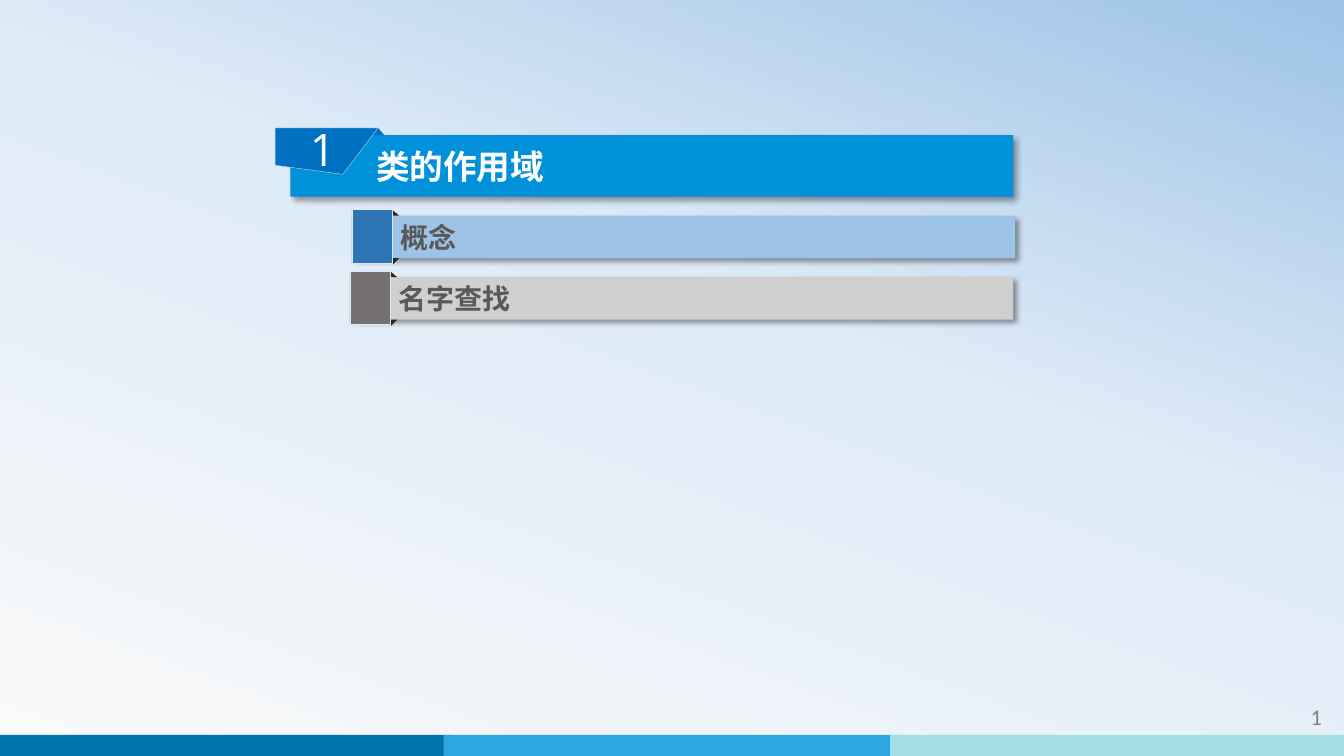
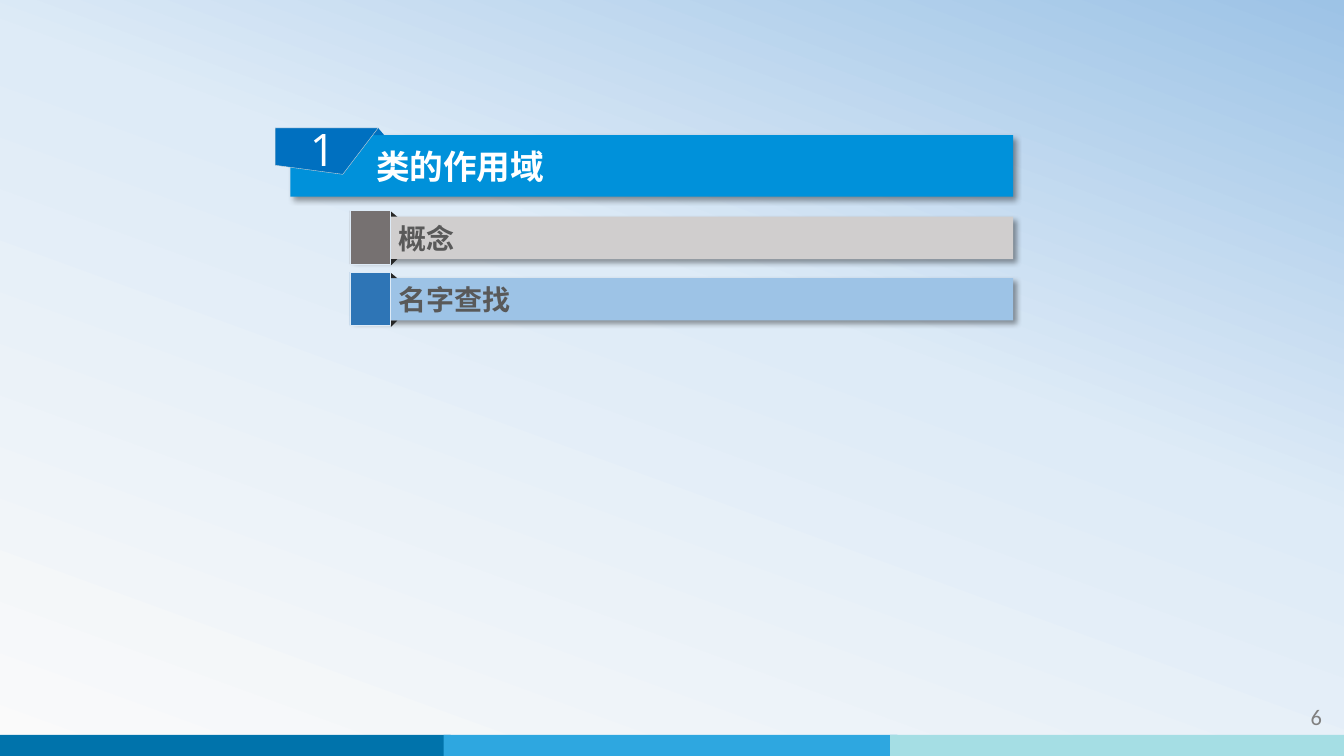
"""Build two agenda slides that highlight the current topic of a chapter."""
import pptx
import pptx.dml.color
import pptx.enum.shapes
import pptx.enum.text
import pptx.oxml
import pptx.oxml.ns
import pptx.util

Inches = pptx.util.Inches
Pt = pptx.util.Pt
RECTANGLE = pptx.enum.shapes.MSO_SHAPE.RECTANGLE
TRIANGLE = pptx.enum.shapes.MSO_SHAPE.ISOSCELES_TRIANGLE
ALIGN = pptx.enum.text.PP_ALIGN
COLORS = {
    "band_dark": "0073AB", "band_mid": "2EA7E0", "band_light": "A5DEE4",
    "title_bar": "0091DA", "title_tab": "0070C0", "title_edge": "D9D9D9",
    "active_bar": "9DC3E6", "active_tab": "2E75B6",
    "idle_bar": "D0CECE", "idle_tab": "767171",
    "fold": "262626", "tab_edge": "DEEBF7",
    "item_text": "595959", "number": "808080", "white": "FFFFFF",
}
BACKGROUND_STOPS = [(0, "FAFAFA"), (58, "DEEBF7"), (100, "9DC3E6")]
NAMESPACE = pptx.oxml.ns.nsdecls("a")
SHADOW = (
    f'<a:effectLst {NAMESPACE}><a:outerShdw blurRad="{Pt(4)}" dist="{Pt(3)}" dir="2700000" '
    'algn="tl" rotWithShape="0"><a:srgbClr val="000000"><a:alpha val="40000"/></a:srgbClr>'
    "</a:outerShdw></a:effectLst>"
)
HEADING_FONT = "Noto Sans CJK SC"


def style_shape(shape, fill, edge=None, shadow=False):
    shape.shadow.inherit = False
    shape.fill.solid()
    shape.fill.fore_color.rgb = pptx.dml.color.RGBColor.from_string(COLORS[fill])
    if edge:
        shape.line.color.rgb = pptx.dml.color.RGBColor.from_string(COLORS[edge])
        shape.line.width = Pt(0.25)
    else:
        shape.line.fill.background()
    if shadow:
        properties = shape._element.spPr
        effects = properties.find(pptx.oxml.ns.qn("a:effectLst"))
        properties.replace(effects, pptx.oxml.parse_xml(SHADOW))


def write_text(shape, text, font, size, color, align, insets=(0.1, 0.05, 0.1, 0.05), bold=False):
    frame = shape.text_frame
    frame.word_wrap = True
    frame.margin_left, frame.margin_top, frame.margin_right, frame.margin_bottom = map(Inches, insets)
    frame.vertical_anchor = pptx.enum.text.MSO_ANCHOR.MIDDLE
    paragraph = frame.paragraphs[0]
    paragraph.alignment = align
    run = paragraph.add_run()
    run.text = text
    run.font.name = font
    run.font.size = Pt(size)
    run.font.bold = bold
    run.font.color.rgb = pptx.dml.color.RGBColor.from_string(COLORS[color])
    east_asian = pptx.oxml.parse_xml(f'<a:ea {NAMESPACE} typeface="{font}"/>')
    run.font._element.find(pptx.oxml.ns.qn("a:latin")).addnext(east_asian)


presentation = pptx.Presentation()
presentation.slide_width = Inches(13.33)
presentation.slide_height = Inches(7.5)

master = presentation.slide_master
background = master.background.fill
background.gradient()
background.gradient_angle = 70
stop_list = next(master._element.iter(pptx.oxml.ns.qn("a:gsLst")))
for stop in list(stop_list):
    stop_list.remove(stop)
for position, color in BACKGROUND_STOPS:
    stop_list.append(pptx.oxml.parse_xml(
        f'<a:gs {NAMESPACE} pos="{position * 1000}"><a:srgbClr val="{color}"/></a:gs>'))

BANDS = [(-0.03, "band_dark"), (4.4, "band_mid"), (8.83, "band_light")]
TAB_POINTS = [(2.73, 1.27), (3.75, 1.27), (3.4, 1.73), (2.73, 1.64)]
AGENDAS = [
    ("1", [("概念", 3.5, 2.14, "active"), ("名字查找", 3.48, 2.75, "idle")]),
    ("6", [("概念", 3.48, 2.15, "idle"), ("名字查找", 3.48, 2.76, "active")]),
]

for page_number, items in AGENDAS:
    slide = presentation.slides.add_slide(presentation.slide_layouts[6])

    bands = slide.shapes.add_group_shape().shapes
    for left, color in BANDS:
        band = bands.add_shape(RECTANGLE, Inches(left), Inches(7.29), Inches(4.5), Inches(0.21))
        style_shape(band, color)
    number_box = slide.shapes.add_textbox(Inches(11.62), Inches(6.91), Inches(1.59), Inches(0.4))
    write_text(number_box, page_number, "Calibri", 16, "number", ALIGN.RIGHT)

    heading = slide.shapes.add_group_shape().shapes
    title_bar = heading.add_shape(RECTANGLE, Inches(2.88), Inches(1.34), Inches(7.17), Inches(0.61))
    style_shape(title_bar, "title_bar", shadow=True)
    write_text(title_bar, "类的作用域", HEADING_FONT, 24, "white", ALIGN.LEFT,
               (0.85, 0.05, 0.1, 0.05), bold=True)
    title_fold = heading.add_shape(TRIANGLE, Inches(3.69), Inches(1.27), Inches(0.12), Inches(0.07))
    style_shape(title_fold, "title_tab")
    corners = [(Inches(x), Inches(y)) for x, y in TAB_POINTS]
    builder = heading.build_freeform(*corners[0])
    builder.add_line_segments(corners[1:], close=True)
    title_tab = builder.convert_to_shape()
    style_shape(title_tab, "title_tab", "title_edge")
    write_text(title_tab, "1", "Open Sans", 32, "white", ALIGN.CENTER, (0.09, 0.04, 0.17, 0.1))

    for label, left, top, state in items:
        item = slide.shapes.add_group_shape().shapes
        bar = item.add_shape(RECTANGLE, Inches(left), Inches(top), Inches(6.57), Inches(0.42))
        style_shape(bar, f"{state}_bar", shadow=True)
        write_text(bar, label, HEADING_FONT, 20, "item_text", ALIGN.LEFT,
                   (0.47, 0.05, 0.1, 0.05), bold=True)
        for offset, height, rotation in [(-0.05, 0.05, 0), (0.42, 0.06, 180)]:
            fold = item.add_shape(TRIANGLE, Inches(left + 0.34), Inches(top + offset),
                                  Inches(0.12), Inches(height))
            fold.rotation = rotation
            style_shape(fold, "fold")
        tab = item.add_shape(RECTANGLE, Inches(left - 0.01), Inches(top - 0.06),
                             Inches(0.4), Inches(0.53))
        style_shape(tab, f"{state}_tab", "tab_edge")

presentation.save("out.pptx")
